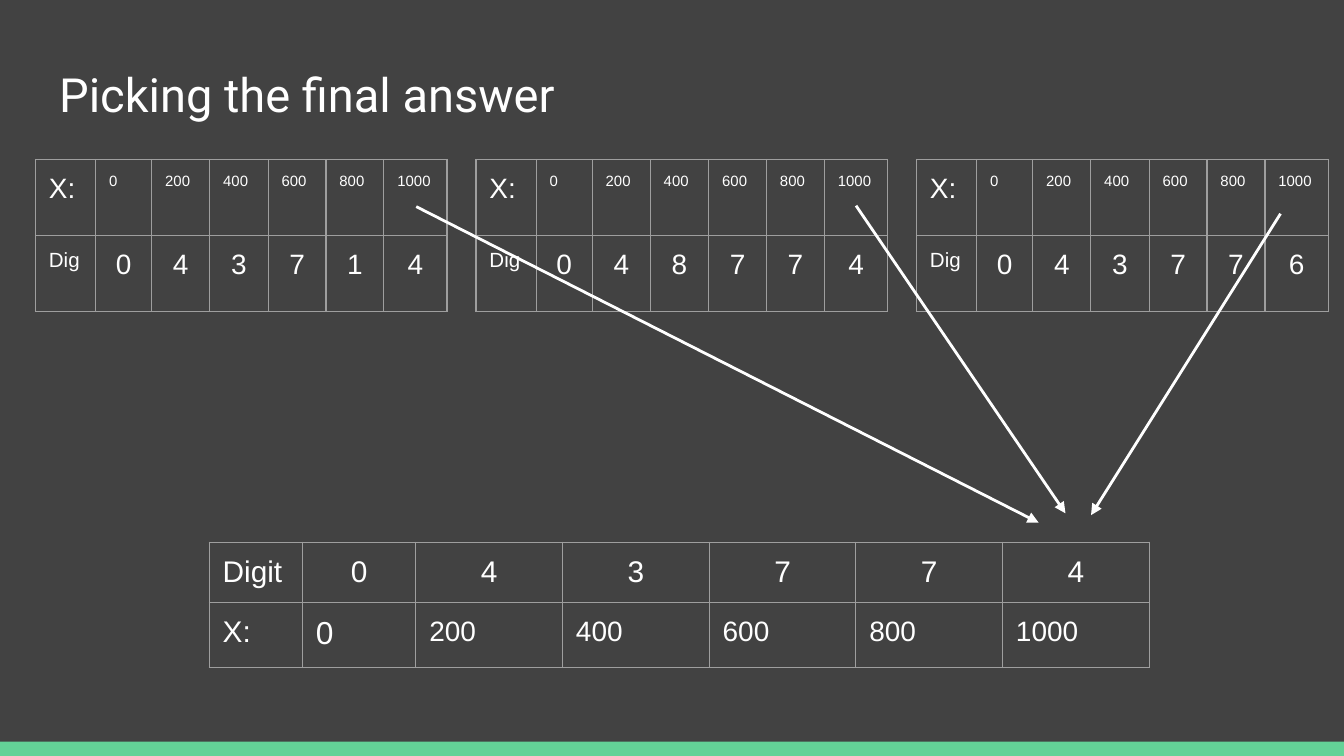
from lxml.etree import SubElement
from pptx import Presentation
from pptx.dml.color import RGBColor
from pptx.enum.shapes import MSO_CONNECTOR, MSO_SHAPE
from pptx.enum.text import MSO_ANCHOR, MSO_AUTO_SIZE, PP_ALIGN
from pptx.oxml.ns import qn
from pptx.util import Pt

BACKGROUND = RGBColor(0x42, 0x42, 0x42)
ACCENT = RGBColor(0x63, 0xD2, 0x97)
WHITE = RGBColor(0xFF, 0xFF, 0xFF)
GRID = RGBColor(0x9E, 0x9E, 0x9E)


def write(frame, text, size, align, font="Arial"):
    para = frame.paragraphs[0]
    para.alignment = align
    span = para.add_run()
    span.text = text
    span.font.color.rgb = WHITE
    for name, value in {"name": font, "size": Pt(size)}.items():
        setattr(span.font, name, value)


def add_grid(page, left, top, widths, heights, texts, sizes, aligns):
    frame = page.shapes.add_table(len(heights), len(widths), Pt(left), Pt(top),
                                  Pt(sum(widths)), Pt(sum(heights)))
    table = frame.table
    table.first_row = table.horz_banding = False
    for column, width in zip(table.columns, widths):
        column.width = Pt(width)
    for row, height in zip(table.rows, heights):
        row.height = Pt(height)
    for r in range(len(heights)):
        for c in range(len(widths)):
            cell = table.cell(r, c)
            for side in ("left", "right", "top", "bottom"):
                setattr(cell, f"margin_{side}", Pt(7.2))
            write(cell.text_frame, texts[r][c], sizes[r][c], aligns[r][c])
            properties = cell._tc.get_or_add_tcPr()
            for edge in ("a:lnL", "a:lnR", "a:lnT", "a:lnB"):
                border = SubElement(properties, qn(edge), w=str(Pt(0.75)))
                fill = SubElement(border, qn("a:solidFill"))
                SubElement(fill, qn("a:srgbClr"), val=str(GRID))
            cell.fill.background()


deck = Presentation()
deck.slide_width, deck.slide_height = Pt(720), Pt(405)
page = deck.slides.add_slide(deck.slide_layouts[5])
page.background.fill.solid()
page.background.fill.fore_color.rgb = BACKGROUND

strip = page.shapes.add_shape(MSO_SHAPE.RECTANGLE, Pt(0), Pt(397.3), Pt(720), Pt(7.7))
strip.shadow.inherit = False
strip.fill.solid()
strip.fill.fore_color.rgb = ACCENT
strip.line.fill.background()

title = page.shapes.title
for name, value in {"left": 24.5, "top": 28, "width": 671, "height": 45}.items():
    setattr(title, name, Pt(value))
title_format = {"word_wrap": True, "auto_size": MSO_AUTO_SIZE.NONE,
                "vertical_anchor": MSO_ANCHOR.TOP}
title_format.update({f"margin_{side}": Pt(7.2) for side in ("left", "right", "top", "bottom")})
for name, value in title_format.items():
    setattr(title.text_frame, name, value)
write(title.text_frame, "Picking the final answer", 25.2, PP_ALIGN.LEFT, "Roboto")

positions = ["0", "200", "400", "600", "800", "1000"]
left_row = [PP_ALIGN.LEFT] * 7
digit_row = [PP_ALIGN.LEFT] + [PP_ALIGN.CENTER] * 6
guess_widths = [32.3, 30, 31.1, 31.3, 31, 31, 33.9]
for index, digits in enumerate(["043714", "048774", "043776"]):
    add_grid(page, 19 + 236 * index, 85.4, guess_widths, [40.8, 40.8],
             [["X:", *positions], ["Dig", *digits]],
             [[15] + [8] * 6, [11] + [15] * 6],
             [left_row, digit_row])

add_grid(page, 112.1, 290.5, [50, 60.7] + [78.6] * 5, [32.2, 34.8],
         [["Digit", *"043774"], ["X:", *positions]],
         [[16] * 7, [16, 17] + [15] * 5],
         [digit_row, left_row])

arrows = [((223, 110.7), (556.4, 280)),
          ((458.6, 110.2), (570.8, 275)),
          ((686, 114.5), (584.5, 276))]
for start, end in arrows:
    arrow = page.shapes.add_connector(MSO_CONNECTOR.STRAIGHT, *map(Pt, start + end))
    arrow.line.color.rgb = WHITE
    arrow.line.width = Pt(1.5)
    SubElement(arrow.line._get_or_add_ln(), qn("a:tailEnd"), type="triangle")
    SubElement(arrow._element.spPr, qn("a:effectLst"))

deck.save("out.pptx")
